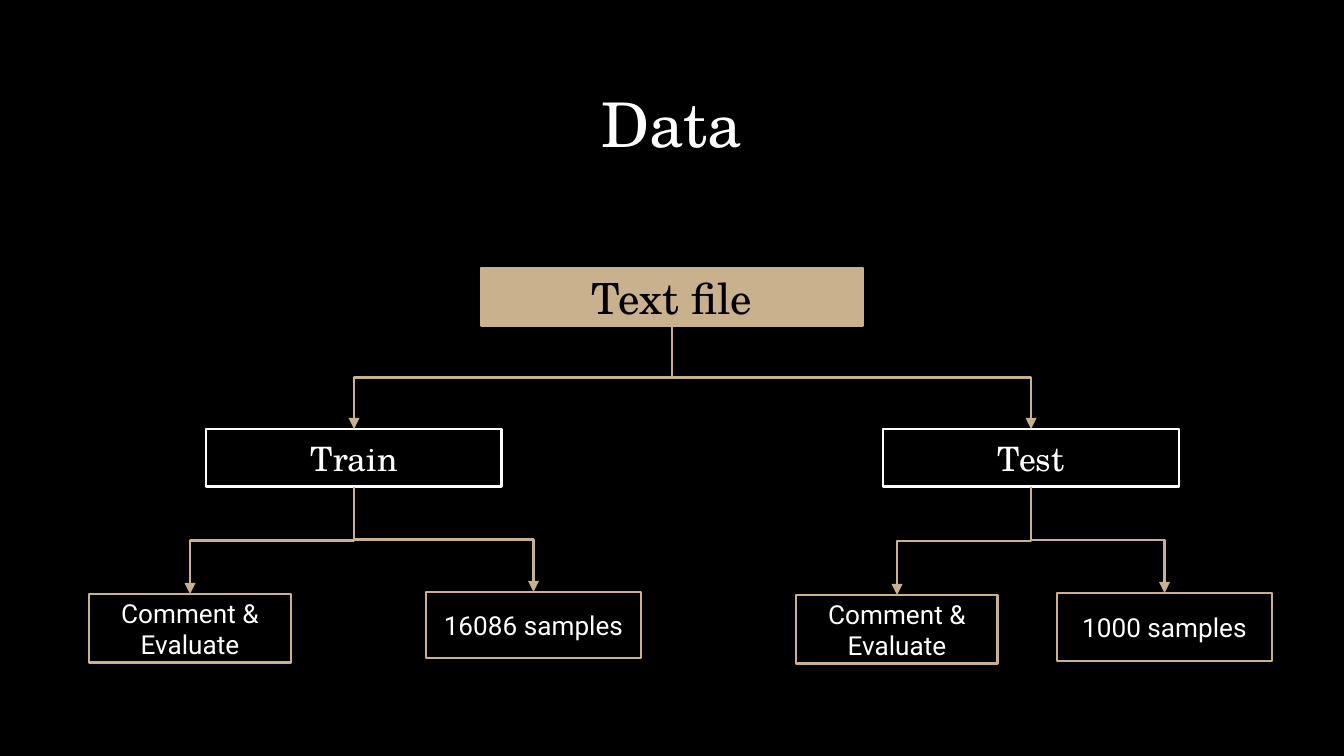
"""Build a slide with a tree of the data files and their samples."""
from lxml.etree import SubElement
from pptx import Presentation
from pptx.dml.color import RGBColor
from pptx.enum.shapes import MSO_CONNECTOR, MSO_SHAPE
from pptx.enum.text import MSO_ANCHOR, PP_ALIGN
from pptx.oxml.ns import qn
from pptx.util import Emu, Pt

SCALE = 914400 / 134.4
COLORS = {"black": "000000", "white": "FFFFFF", "tan": "C9B18E"}
SERIF, SANS = "TeX Gyre Schola", "Roboto"
INSET = 13

TITLE = ("Data", (103, 73, 1138, 97))
STYLES = {
    "root": dict(size=23, font=SERIF, color="black", fill="tan", line="tan"),
    "branch": dict(size=18, font=SERIF, color="white", line="white"),
    "leaf": dict(size=14, font=SANS, color="white", line="tan"),
}
NODES = {
    "file": ("Text file", "root", (481, 268, 382, 58), None),
    "train": ("Train", "branch", (206, 429, 296, 58), "file"),
    "test": ("Test", "branch", (883, 429, 296, 58), "file"),
    "train fields": ("Comment & Evaluate", "leaf", (89, 594, 202, 69), "train"),
    "train size": ("16086 samples", "leaf", (426, 592, 215, 66), "train"),
    "test fields": ("Comment & Evaluate", "leaf", (796, 595, 202, 69), "test"),
    "test size": ("1000 samples", "leaf", (1057, 593, 215, 68), "test"),
}


def px(value):
    return Emu(round(value * SCALE))


def rgb(name):
    return RGBColor.from_string(COLORS[name])


def write(shape, text, size, font, color, anchor=MSO_ANCHOR.MIDDLE):
    frame = shape.text_frame
    frame.word_wrap = True
    frame.vertical_anchor = anchor
    frame.margin_left = frame.margin_right = px(INSET)
    frame.margin_top = frame.margin_bottom = px(INSET)
    para = frame.paragraphs[0]
    para.alignment = PP_ALIGN.CENTER
    span = para.add_run()
    span.text = text
    span.font.size = Pt(size)
    span.font.name = font
    span.font.color.rgb = rgb(color)


def add_box(page, text, place, line, fill=None, **text_format):
    box = page.shapes.add_shape(MSO_SHAPE.RECTANGLE, *map(px, place))
    box.shadow.inherit = False
    if fill:
        box.fill.solid()
        box.fill.fore_color.rgb = rgb(fill)
    else:
        box.fill.background()
    box.line.color.rgb = rgb(line)
    box.line.width = Pt(1.5)
    write(box, text, **text_format)
    return box


def add_branch(page, parent, child):
    start_x, start_y = parent.left + parent.width // 2, parent.top + parent.height
    end_x, end_y = child.left + child.width // 2, child.top
    branch = page.shapes.add_connector(MSO_CONNECTOR.ELBOW, start_x, start_y, end_x, end_y)
    branch.begin_connect(parent, 2)
    branch.end_connect(child, 0)
    drop, reach = end_y - start_y, abs(end_x - start_x)
    branch.left = Emu((start_x + end_x - drop) // 2)
    branch.top = Emu((start_y + end_y - reach) // 2)
    branch.width, branch.height = Emu(drop), Emu(reach)
    properties = branch.element.spPr
    turn = properties.find(qn("a:xfrm"))
    goes_right = end_x > start_x
    turn.rot = 270 if goes_right else 90
    turn.flipH, turn.flipV = goes_right, False
    branch.line.color.rgb = rgb("tan")
    branch.line.width = Pt(1.5)
    SubElement(properties.find(qn("a:ln")), qn("a:tailEnd"), type="triangle")
    SubElement(properties, qn("a:effectLst"))


def main():
    deck = Presentation()
    deck.slide_width, deck.slide_height = px(1344), px(756)
    page = deck.slides.add_slide(deck.slide_layouts[5])
    page.background.fill.solid()
    page.background.fill.fore_color.rgb = rgb("black")

    text, place = TITLE
    title = page.shapes.title
    title.left, title.top, title.width, title.height = map(px, place)
    write(title, text, size=33, font=SERIF, color="white", anchor=MSO_ANCHOR.TOP)

    boxes = {}
    for name, (text, style, place, parent) in NODES.items():
        boxes[name] = add_box(page, text, place, **STYLES[style])
        if parent:
            add_branch(page, boxes[parent], boxes[name])
    deck.save("out.pptx")


if __name__ == "__main__":
    main()
